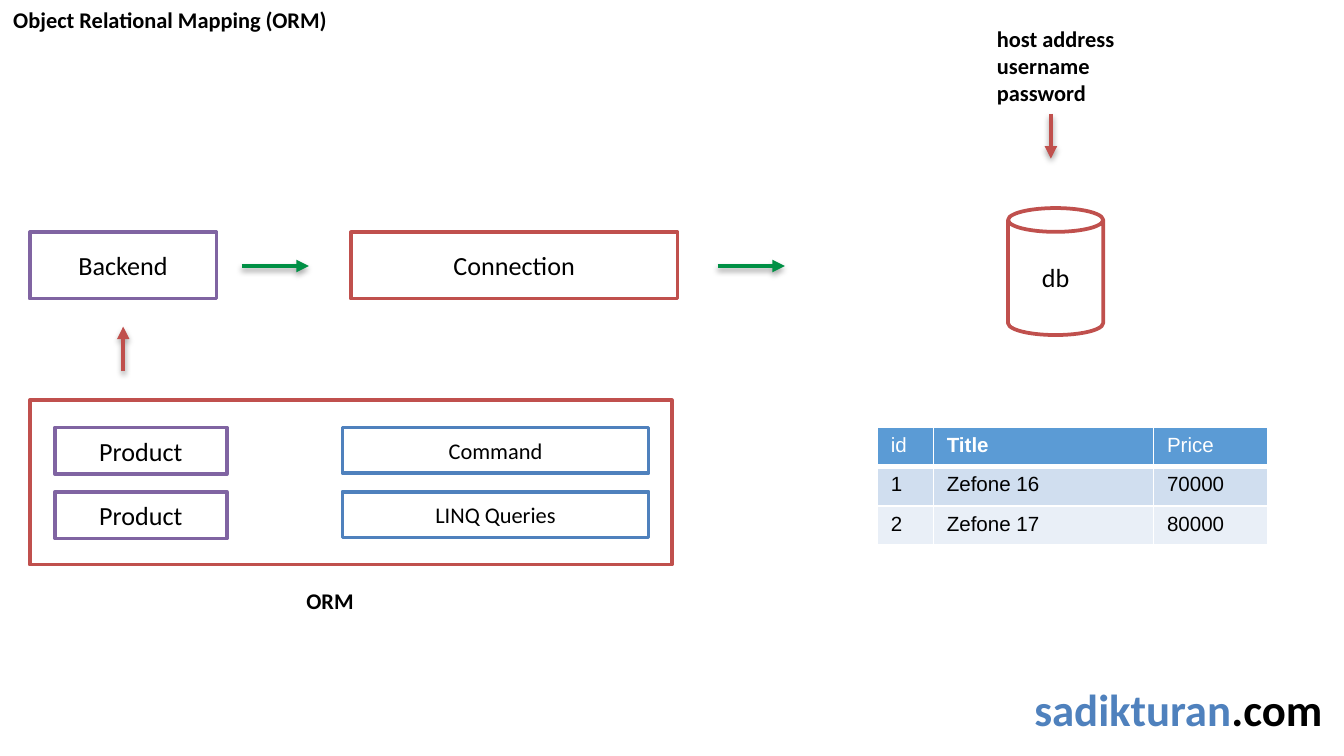
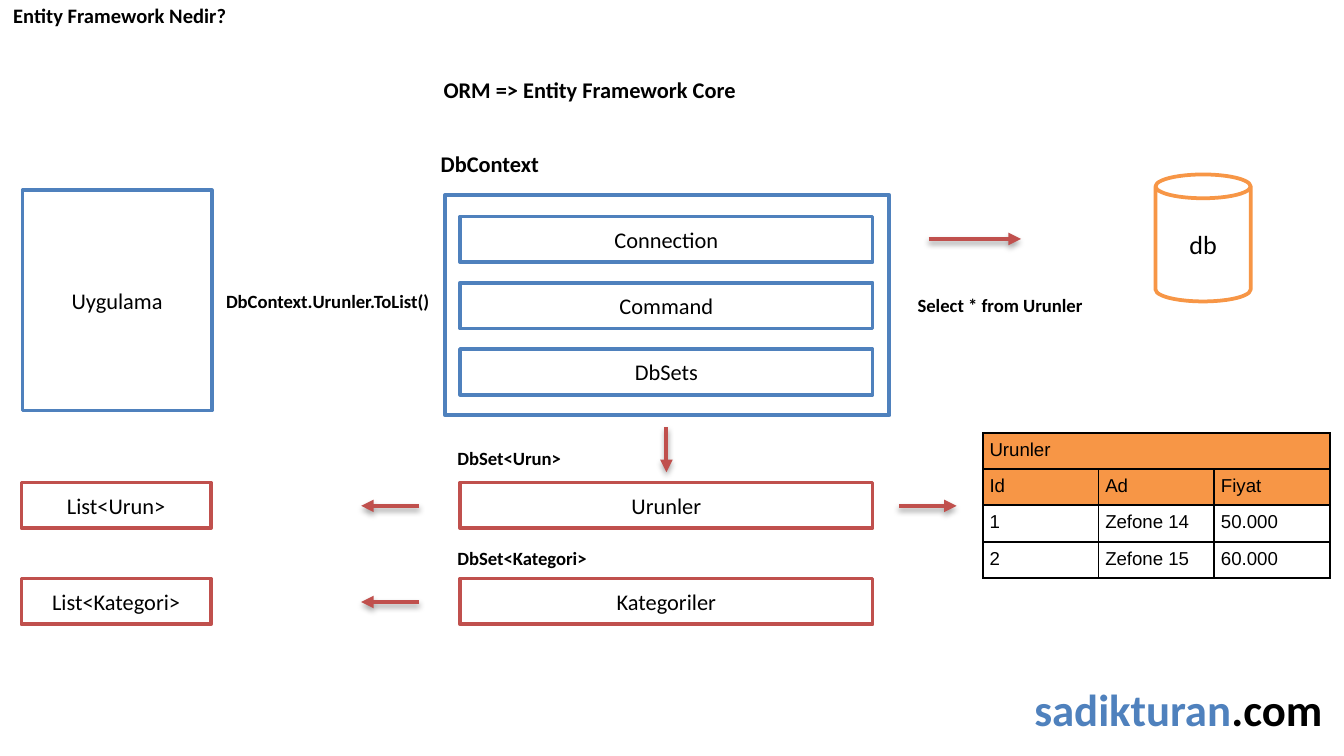
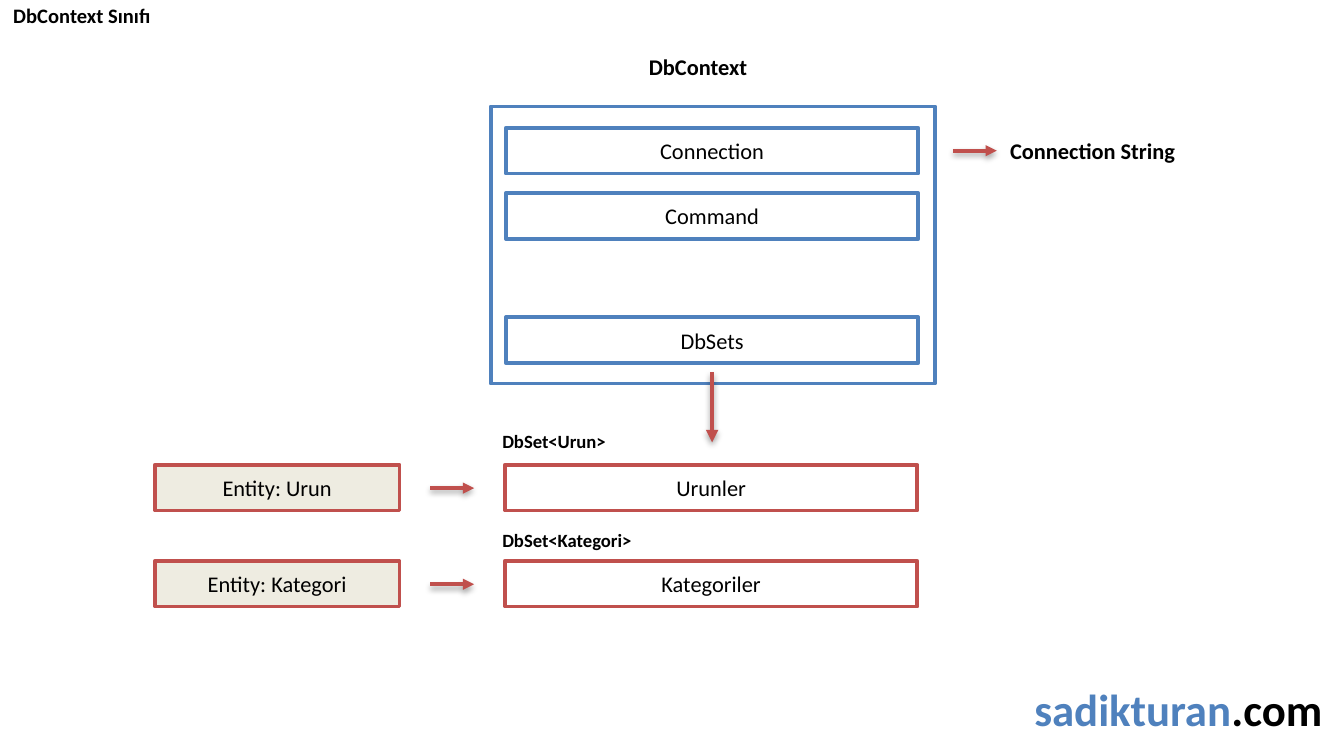
from lxml.etree import SubElement
from pptx import Presentation
from pptx.dml.color import RGBColor as RGB
from pptx.enum.shapes import MSO_CONNECTOR as LINK, MSO_SHAPE as SHAPE
from pptx.enum.text import MSO_ANCHOR as ANCHOR, MSO_AUTO_SIZE as AUTO, PP_ALIGN as ALIGN
from pptx.oxml import parse_xml
from pptx.oxml.ns import nsdecls, qn
from pptx.util import Pt

BLACK = RGB(0x00, 0x00, 0x00)
WHITE = RGB(0xFF, 0xFF, 0xFF)
RED = RGB(0xC0, 0x50, 0x4D)
BLUE = RGB(0x4F, 0x81, 0xBD)
PURPLE = RGB(0x80, 0x64, 0xA2)
GREEN = RGB(0x00, 0x90, 0x45)
ORANGE = RGB(0xF7, 0x96, 0x46)
CREAM = RGB(0xEE, 0xEC, 0xE1)
SKY = RGB(0x5B, 0x9B, 0xD5)
PALE = RGB(0xD0, 0xDE, 0xEF)
MIST = RGB(0xE9, 0xEF, 0xF7)
BAR = 24.5  # height of the flat boxes
STEP = 51.5  # from one set row to the next


def put(page, text, x, y, w, h, size=12, line=None, fill=WHITE, kind=SHAPE.RECTANGLE, color=BLACK):
    """Outlined shape with centred text, or a bold label when no line is given."""
    area = [Pt(v) for v in (x, y, w, h)]
    if line is None:
        shape = page.shapes.add_textbox(*area)
        shape.text_frame.auto_size = AUTO.SHAPE_TO_FIT_TEXT
    else:
        shape = page.shapes.add_shape(kind, *area)
        shape.shadow.inherit = False
        shape.fill.solid()
        shape.fill.fore_color.rgb = fill
        shape.line.color.rgb = line
        shape.line.width = Pt(2)
        shape.text_frame.vertical_anchor = ANCHOR.MIDDLE
    frame = shape.text_frame
    frame.word_wrap = True
    frame.text = text
    for para in frame.paragraphs:
        para.alignment = ALIGN.LEFT if line is None else ALIGN.CENTER
        para.font.name = "Calibri"
        para.font.size = Pt(size)
        para.font.bold = line is None
        para.font.color.rgb = color
    return shape


def arrow(page, x1, y1, x2, y2, color=RED, width=2.25):
    link = page.shapes.add_connector(LINK.STRAIGHT, Pt(x1), Pt(y1), Pt(x2), Pt(y2))
    link.line.color.rgb = color
    link.line.width = Pt(width)
    SubElement(link.line._get_or_add_ln(), qn("a:tailEnd"), type="triangle")
    link._element.spPr.append(parse_xml(
        f'<a:effectLst {nsdecls("a")}><a:outerShdw blurRad="40000" dist="23000" dir="5400000" '
        'rotWithShape="0"><a:srgbClr val="000000"><a:alpha val="35000"/></a:srgbClr>'
        '</a:outerShdw></a:effectLst>'))
    return link


deck = Presentation()
deck.slide_width, deck.slide_height = Pt(720), Pt(405)

# Titles and footer
pages = []
for title, top, size in [("Object Relational Mapping (ORM)", 0, 12),
                         ("Entity Framework Nedir?", -2, 11),
                         ("DbContext Sınıfı", -2, 11)]:
    page = deck.slides.add_slide(deck.slide_layouts[6])
    put(page, title, 0, top, 362, 22, size=size)
    foot = put(page, "sadikturan", 547, 361.5, 170.5, 36, size=24, color=BLUE)
    run = foot.text_frame.paragraphs[0].add_run()
    run.text = ".com"
    run.font.color.rgb = BLACK
    pages.append(page)
orm, core, context = pages

# Slide 1: backend, connection and database
put(orm, "Backend", 16, 124.5, 100, 35.5, size=14, line=PURPLE)
put(orm, "Connection", 188, 124.5, 175, 35.5, size=14, line=RED)
put(orm, "db", 540, 111.5, 51, 68, size=14, line=RED, kind=SHAPE.CAN)
put(orm, "host address\nusername\npassword", 527, 10, 96, 51)
for x in (129.5, 384.5):
    arrow(orm, x, 142.5, x + 36, 142.5, color=GREEN)
arrow(orm, 563, 61, 563, 85)
arrow(orm, 66, 199, 66, 175)

# Slide 1: ORM panel
put(orm, "", 16, 214.5, 344, 88, line=RED)
for y, text in [(229, "Command"), (263.5, "LINQ Queries")]:
    put(orm, "Product", 29.5, y, 92, 25, size=14, line=PURPLE)
    put(orm, text, 183.5, y, 164, BAR, line=BLUE)
put(orm, "ORM", 157, 311, 49, 22)

# Slide 2: application and database
put(core, "ORM => Entity Framework Core", 230.5, 37.5, 245, 22)
put(core, "Uygulama", 12, 102, 101.5, 118, line=BLUE)
put(core, "DbContext.Urunler.ToList()", 114, 152, 126, 19.5, size=10)
put(core, "Select * from Urunler", 484.5, 154, 126, 19.5, size=10)
put(core, "db", 619, 93.5, 51, 68, size=14, line=ORANGE, kind=SHAPE.CAN)
arrow(core, 497.5, 128, 547, 128)
arrow(core, 481.5, 271, 512.5, 271)

# Slides 2 and 3: context panel with its parts
for page, x, y, h, label, tops in [
        (core, 238.5, 104.5, 118, (229, 77), (116, 151.5, 187)),
        (context, 263, 57, 148.5, (340.5, 25), (68.5, 103.5, 170))]:
    put(page, "", x, y, 238, h, line=BLUE)
    put(page, "DbContext", *label, 73, 22)
    for text, top in zip(("Connection", "Command", "DbSets"), tops):
        put(page, text, x + 8, top, 221, BAR, line=BLUE)
arrow(core, 357, 229, 357, 253)
arrow(context, 381.5, 199.5, 381.5, 237)

# Slides 2 and 3: one row per set
for i, (name, many) in enumerate([("Urun", "Urunler"), ("Kategori", "Kategoriler")]):
    y = 258.5 + i * STEP
    put(core, f"DbSet<{name}>", 238, 236 + i * 53.5, 85, 19.5, size=10)
    put(core, many, 246.5, y, 221, BAR, line=RED)
    put(core, f"List<{name}>", 11.5, y, 101.5, BAR, line=RED)
    arrow(core, 224.5, y + 12.5, 193.5, y + 12.5)
    y = 249 + i * STEP
    put(context, f"DbSet<{name}>", 262, 227 + i * 53, 85, 19.5, size=10)
    put(context, many, 270.5, y, 221, BAR, line=RED)
    put(context, f"Entity: {name}", 83, y, 131, BAR, line=RED, fill=CREAM)
    arrow(context, 230.5, y + 12.5, 254, y + 12.5, width=2)

# Slide 3: connection string
label = put(context, "Connection String", 534, 70, 131, 21.5)
arrow(context, 510.5, 80.75, 534, 80.75, width=2).end_connect(label, 1)

# Tables on slides 1 and 2
goods = [["id", "Title", "Price"], ["1", "Zefone 16", "70000"], ["2", "Zefone 17", "80000"]]
stock = [["Urunler", "", ""], ["Id", "Ad", "Fiyat"],
         ["1", "Zefone 14", "50.000"], ["2", "Zefone 15", "60.000"]]
for page, data, x, y, cols, rows, fills, edge, size, pad, styled in [
        (orm, goods, 470, 229, (30, 118, 61), (21, 21, 21),
         (SKY, PALE, MIST), WHITE, 11, 7.2, True),
        (core, stock, 526.5, 232, (62, 62, 62), (18, 15, 20, 17),
         (ORANGE, ORANGE, None, None), BLACK, 10, 3.6, False)]:
    grid = page.shapes.add_table(len(rows), len(cols), Pt(x), Pt(y),
                                 Pt(sum(cols)), Pt(sum(rows))).table
    grid.first_row = grid.horz_banding = styled
    for col, w in zip(grid.columns, cols):
        col.width = Pt(w)
    for r, (row, h, fill) in enumerate(zip(grid.rows, rows, fills)):
        row.height = Pt(h)
        for c, cell in enumerate(row.cells):
            cell.margin_left = cell.margin_right = Pt(pad)
            cell.margin_top = cell.margin_bottom = Pt(3.6)
            if fill is None:
                cell.fill.background()
            else:
                cell.fill.solid()
                cell.fill.fore_color.rgb = fill
            cell.text = data[r][c]
            font = cell.text_frame.paragraphs[0].font
            font.name, font.size = "Arial", Pt(size)
            font.color.rgb = WHITE if styled and r == 0 else BLACK
            if data[r][c] == "Title":
                cell.text_frame.paragraphs[0].runs[0].font.bold = True
            # Cell borders, thicker around the styled header's lower edge
            for i, side in enumerate("LRTB"):
                heavy = styled and (r, side) in ((0, "B"), (1, "T"))
                cell._tc.get_or_add_tcPr().insert(i, parse_xml(
                    f'<a:ln{side} {nsdecls("a")} w="{Pt(3 if heavy else 1)}"><a:solidFill>'
                    f'<a:srgbClr val="{edge}"/></a:solidFill></a:ln{side}>'))
    if not styled:
        grid.cell(0, 0).merge(grid.cell(0, 2))

deck.save("out.pptx")
